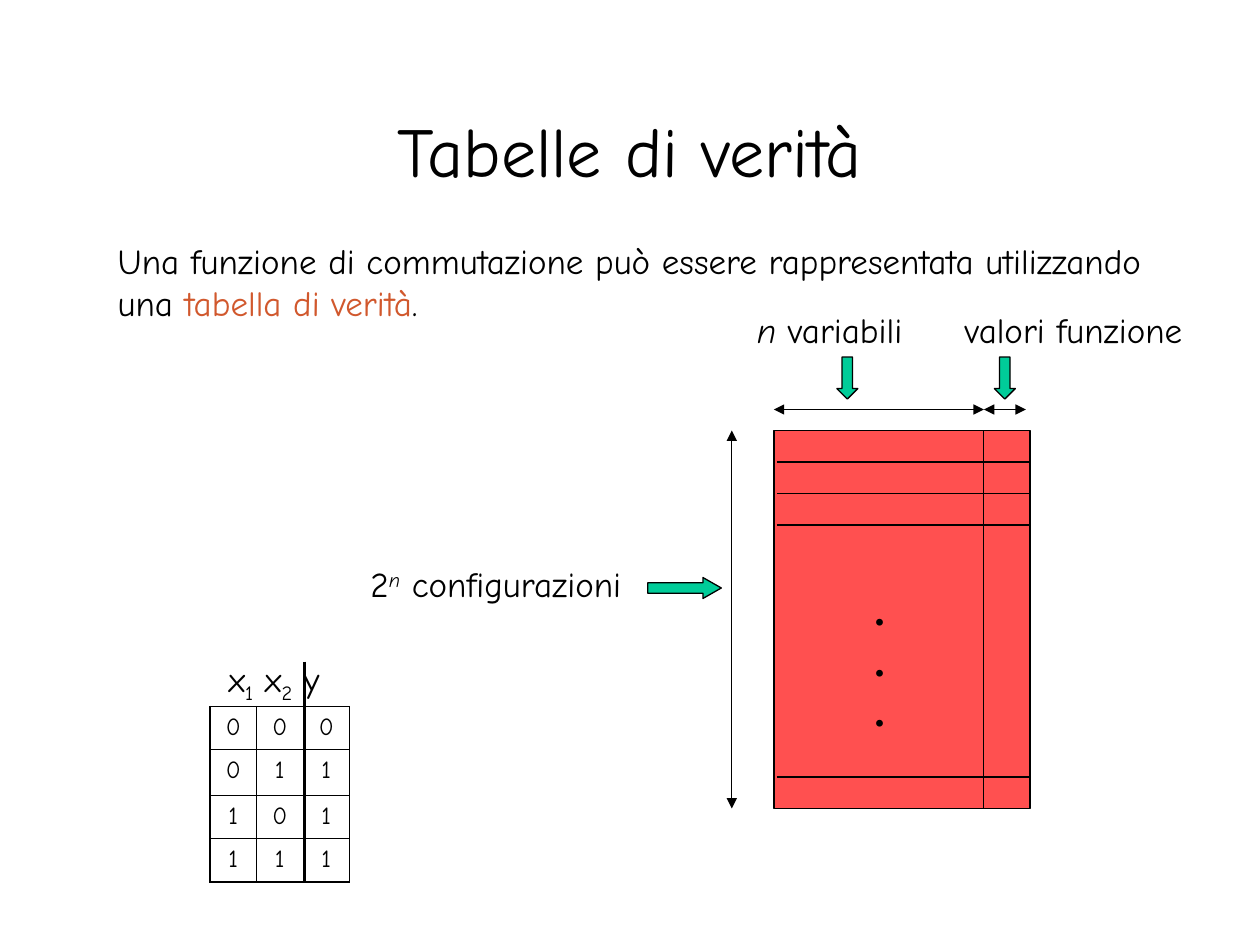
from dataclasses import dataclass

from lxml.etree import SubElement
from pptx import Presentation
from pptx.dml.color import RGBColor
from pptx.enum.shapes import MSO_CONNECTOR, MSO_SHAPE
from pptx.enum.text import MSO_ANCHOR, MSO_AUTO_SIZE, PP_ALIGN
from pptx.oxml.ns import qn
from pptx.util import Emu, Pt

PX = 7620  # 120 px to the inch


@dataclass(frozen=True)
class Theme:
    font: str = "Comic Neue"
    dots_font: str = "Times New Roman"
    ink: RGBColor = RGBColor(0x00, 0x00, 0x00)
    accent: RGBColor = RGBColor(0xD1, 0x58, 0x2D)
    grid: RGBColor = RGBColor(0xFF, 0x50, 0x50)
    arrow: RGBColor = RGBColor(0x00, 0xCC, 0x99)
    title_size: int = 40
    text_size: int = 20
    cell_size: int = 14
    dots_size: int = 24
    thin: float = 0.75
    thick: float = 2.25
    cell_inner: float = 0.45
    cell_outer: float = 1.08


THEME = Theme()


def px(*lengths):
    return [Emu(length * PX) for length in lengths]


def style_paragraph(para, size, font=THEME.font, align=PP_ALIGN.LEFT):
    para.alignment = align
    para.space_before = Pt(0)
    para.font.name = font
    para.font.size = Pt(size)
    para.font.color.rgb = THEME.ink


def add_spans(para, spans):
    """Add (text, options) spans; options are italic, baseline and color."""
    for text, options in spans:
        span = para.add_run()
        span.text = text
        if "italic" in options:
            span.font.italic = options["italic"]
        if "color" in options:
            span.font.color.rgb = options["color"]
        if "baseline" in options:
            span._r.get_or_add_rPr().set("baseline", str(options["baseline"] * 1000))


def add_label(page, box, spans):
    frame = page.shapes.add_textbox(*px(*box)).text_frame
    frame.word_wrap = False
    add_spans(frame.paragraphs[0], spans)
    style_paragraph(frame.paragraphs[0], THEME.text_size)


def add_line(page, start, end, width=THEME.thin, arrows=False):
    line = page.shapes.add_connector(MSO_CONNECTOR.STRAIGHT, *px(*start, *end))
    line.line.color.rgb = THEME.ink
    line.line.width = Pt(width)
    properties = line._element.spPr
    if arrows:
        outline = properties.find(qn("a:ln"))
        for end_name in ("a:headEnd", "a:tailEnd"):
            SubElement(outline, qn(end_name), type="triangle")
    SubElement(properties, qn("a:effectLst"))


def add_block(page, kind, box, color):
    shape = page.shapes.add_shape(kind, *px(*box))
    shape.shadow.inherit = False
    shape.fill.solid()
    shape.fill.fore_color.rgb = color
    shape.line.color.rgb = THEME.ink
    shape.line.width = Pt(THEME.thin)
    return shape


def place(shape, box):
    shape.left, shape.top, shape.width, shape.height = px(*box)


def fill_title(page, box):
    title = page.shapes.title
    place(title, box)
    frame = title.text_frame
    frame.text = "Tabelle di verità"
    frame.vertical_anchor = MSO_ANCHOR.MIDDLE
    frame.auto_size = MSO_AUTO_SIZE.NONE
    style_paragraph(frame.paragraphs[0], THEME.title_size, align=PP_ALIGN.CENTER)


def fill_body(page, box):
    body = page.placeholders[1]
    place(body, box)
    frame = body.text_frame
    frame.auto_size = MSO_AUTO_SIZE.NONE
    para = frame.paragraphs[0]
    properties = para._p.get_or_add_pPr()
    properties.set("marL", "0")
    properties.set("indent", "0")
    SubElement(properties, qn("a:buNone"))
    add_spans(para, [
        ("Una funzione di commutazione può essere rappresentata utilizzando una ", {}),
        ("tabella di verità", {"color": THEME.accent}),
        (".", {}),
    ])
    style_paragraph(para, THEME.text_size)


def add_general_table(page, box):
    """Draw the schematic table, with its measures and labels around the box."""
    left, top, width, height = box
    right, bottom = left + width, top + height
    divider, row = left + 200, 30

    add_block(page, MSO_SHAPE.RECTANGLE, box, THEME.grid)
    add_line(page, (divider, top), (divider, bottom))
    for y in (top + row, top + 2 * row, top + 3 * row, bottom - row):
        add_line(page, (left + 3, y), (right - 1, y))

    add_line(page, (left - 40, top), (left - 40, bottom), arrows=True)
    for start, end in ((left, divider), (divider, right - 4)):
        add_line(page, (start, top - 20), (end, top - 20), arrows=True)

    for x in (left + 60, left + 210):
        add_block(page, MSO_SHAPE.DOWN_ARROW, (x, top - 70, 20, 40), THEME.arrow)
    pointer = add_block(page, MSO_SHAPE.RIGHT_ARROW,
                        (left - 120, top + 140, 70, 20), THEME.arrow)
    pointer.adjustments[1] = 0.875

    add_label(page, (left - 28, top - 122, 163, 53),
              [("n", {"italic": True}), (" variabili", {})])
    add_label(page, (left + 170, top - 122, 232, 53), [("valori funzione", {})])
    add_label(page, (left - 396, top + 120, 263, 53),
              [("2", {}), ("n", {"italic": True, "baseline": 30}),
               (" configurazioni", {})])
    add_dots(page, (left + 84, top + 140, 34, 156))


def add_dots(page, box):
    frame = page.shapes.add_textbox(*px(*box)).text_frame
    frame.word_wrap = False
    frame.text = "\n".join("...")
    for para in frame.paragraphs:
        style_paragraph(para, THEME.dots_size, THEME.dots_font)
        para.font.bold = True


def set_borders(cell, widths):
    """Draw the four sides; widths are points for left, right, top, bottom."""
    properties = cell._tc.get_or_add_tcPr()
    for side, width in zip("LRTB", widths):
        border = SubElement(properties, qn(f"a:ln{side}"), w=str(Pt(width)))
        fill = SubElement(border, qn("a:solidFill"))
        SubElement(fill, qn("a:srgbClr"), val=str(THEME.ink))


def add_example_table(page, box):
    left, top, width, height = box
    values = ["000", "011", "101", "111"]
    heights = (41, 44, 41, 41)
    last_row, last_column = len(values) - 1, len(values[0]) - 1

    table = page.shapes.add_table(len(values), len(values[0]), *px(*box)).table
    table.first_row = table.horz_banding = False
    for column in table.columns:
        column.width = Emu(width * PX // len(values[0]))
    for r, (digits, row_height) in enumerate(zip(values, heights)):
        table.rows[r].height = Emu(row_height * PX)
        for c, digit in enumerate(digits):
            cell = table.cell(r, c)
            cell.text = digit
            style_paragraph(cell.text_frame.paragraphs[0], THEME.cell_size,
                            align=PP_ALIGN.CENTER)
            edges = (c == 0, c == last_column, r == 0, r == last_row)
            set_borders(cell, [THEME.cell_outer if edge else THEME.cell_inner
                               for edge in edges])
            cell.fill.background()

    add_label(page, (left + 6, top - 53, 125, 58),
              [("x", {}), ("1", {"baseline": -25}), (" x", {}),
               ("2", {"baseline": -25}), (" y", {})])
    add_line(page, (left + 90, top - 43), (left + 90, top + height), THEME.thick)


def main():
    deck = Presentation()
    deck.slide_width, deck.slide_height = px(1200, 900)
    page = deck.slides.add_slide(deck.slide_layouts[1])
    fill_title(page, (90, 97, 1020, 91))
    fill_body(page, (100, 222, 1030, 92))
    add_general_table(page, (737, 410, 244, 360))
    add_example_table(page, (200, 673, 133, 167))
    deck.save("out.pptx")


if __name__ == "__main__":
    main()
